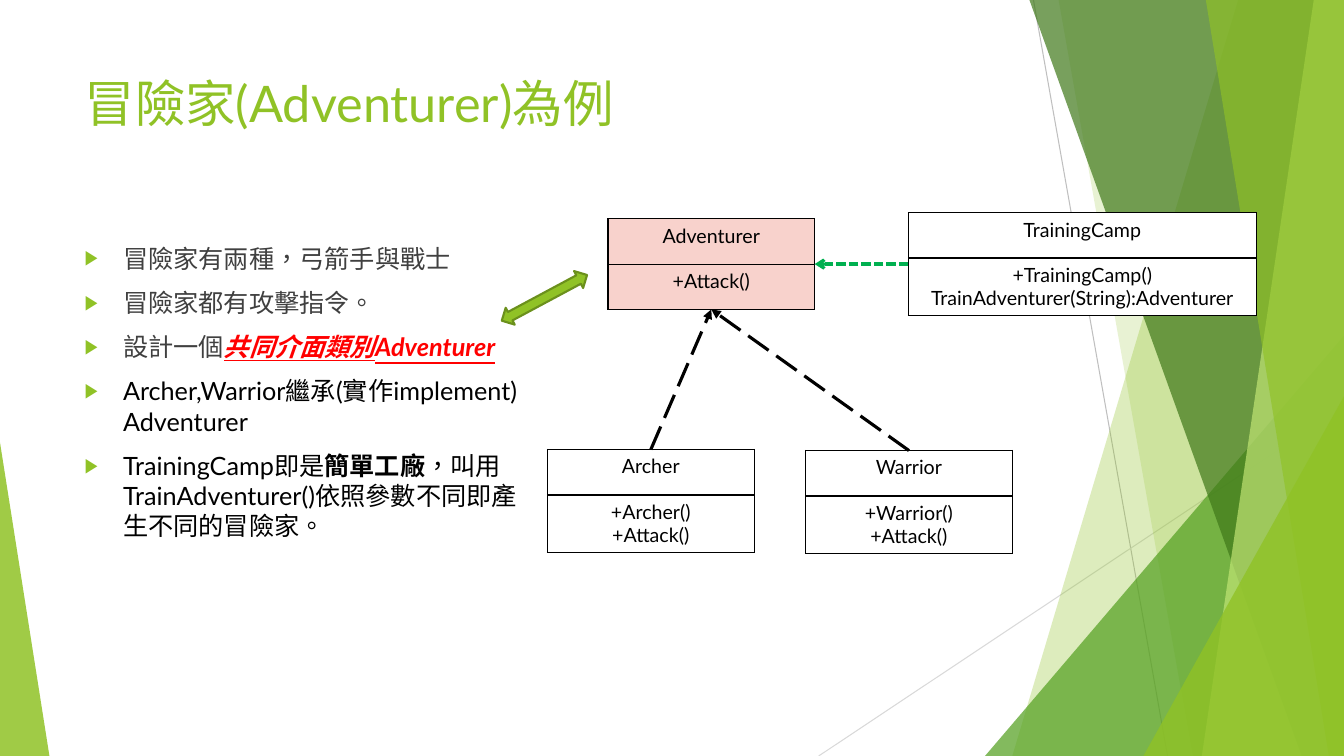
from collections import namedtuple
from dataclasses import dataclass

from lxml.etree import SubElement
from pptx import Presentation
from pptx.dml.color import RGBColor
from pptx.enum.dml import MSO_LINE
from pptx.enum.lang import MSO_LANGUAGE_ID
from pptx.enum.shapes import MSO_CONNECTOR, MSO_SHAPE
from pptx.enum.text import MSO_ANCHOR, MSO_AUTO_SIZE, PP_ALIGN
from pptx.oxml import parse_xml
from pptx.oxml.ns import nsdecls, qn
from pptx.util import Inches, Pt


@dataclass(frozen=True)
class Theme:
    font: str = "Lato"
    green: str = "90C226"
    mid_green: str = "54A021"
    dark_green: str = "3F7819"
    pale_green: str = "C0E474"
    outline_green: str = "6B901C"
    arrow_green: str = "00B050"
    grey_line: str = "BFBFBF"
    light_line: str = "D9D9D9"
    body: str = "404040"
    black: str = "000000"
    white: str = "FFFFFF"
    red: str = "FF0000"
    pink: str = "F8D2CC"
    title_size: int = 36
    body_size: int = 18
    class_size: int = 14


THEME = Theme()
Box = namedtuple("Box", "left top width height")
TOP, LEFT, BOTTOM, RIGHT = range(4)


def rgb(color):
    return RGBColor.from_string(color)


def apply_formats(target, formats):
    for name, value in formats.items():
        setattr(target, name, value)


def add_run(paragraph, text, size, color, **formats):
    run = paragraph.add_run()
    run.text = text
    apply_formats(run.font, {
        "name": THEME.font, "size": Pt(size),
        "language_id": MSO_LANGUAGE_ID.TRADITIONAL_CHINESE, **formats})
    run.font.color.rgb = rgb(color)


def fill_shape(shape, color, opacity=100):
    shape.shadow.inherit = False
    shape.fill.solid()
    shape.fill.fore_color.rgb = rgb(color)
    if opacity < 100:
        srgb = shape.fill._xPr.find(".//" + qn("a:srgbClr"))
        SubElement(srgb, qn("a:alpha"), val=str(opacity * 1000))


def add_line(shapes, start, end, color, width, dash=None, head=None):
    line = shapes.add_connector(
        MSO_CONNECTOR.STRAIGHT, *(Inches(v) for v in (*start, *end)))
    line.line.color.rgb = rgb(color)
    line.line.width = Pt(width)
    if dash:
        line.line.dash_style = dash
    if head:
        SubElement(line.line._get_or_add_ln(), qn("a:tailEnd"), type=head)
    SubElement(line.element.spPr, qn("a:effectLst"))
    return line


# Facet decoration along the slide edges
def add_decoration(slide, box):
    facets = slide.shapes.add_group_shape().shapes
    right, bottom = box.left + box.width, box.top + box.height

    def panel(top_x, bottom_x, color, opacity):
        corners = [(top_x, box.top), (right, box.top), (right, bottom), (bottom_x, bottom)]
        points = [(Inches(x), Inches(y)) for x, y in corners]
        builder = facets.build_freeform(*points[0])
        builder.add_line_segments(points[1:], close=True)
        facet = builder.convert_to_shape()
        fill_shape(facet, color, opacity)
        facet.line.fill.background()

    def corner(left, width, height, apex, color, opacity):
        facet = facets.add_shape(
            MSO_SHAPE.ISOSCELES_TRIANGLE, Inches(left), Inches(bottom - height),
            Inches(width), Inches(height))
        facet.adjustments[0] = apex
        fill_shape(facet, color, opacity)
        facet.line.fill.background()

    add_line(facets, (10.25, box.top), (11.58, bottom), THEME.grey_line, 0.75)
    add_line(facets, (right, 4.03), (8.12, bottom), THEME.light_line, 0.75)
    panel(12.28, 10.04, THEME.green, 30)
    panel(10.5, 11.83, THEME.green, 20)
    corner(right - 3.56, 3.56, 4.17, 1.0, THEME.mid_green, 72)
    panel(10.21, 12.91, THEME.dark_green, 70)
    panel(13.03, 11.92, THEME.pale_green, 70)
    panel(11.96, 13.18, THEME.green, 65)
    corner(right - 1.99, 1.99, 3.57, 1.0, THEME.green, 80)
    corner(box.left, 0.49, 3.11, 0.0, THEME.green, 85)


def place_placeholder(slide, placeholder, box):
    slide.shapes.element.append(placeholder.element)  # in front of the facets
    apply_formats(placeholder, {k: Inches(v) for k, v in box._asdict().items()})
    frame = placeholder.text_frame
    apply_formats(frame, {"word_wrap": True, "auto_size": MSO_AUTO_SIZE.NONE,
                          "vertical_anchor": MSO_ANCHOR.TOP})
    return frame


def add_title(slide, box):
    heading = place_placeholder(slide, slide.shapes.title, box).paragraphs[0]
    heading.alignment = PP_ALIGN.LEFT
    add_run(heading, "冒險家(Adventurer)為例", THEME.title_size, THEME.green)


# Bulleted explanation
def add_explanation(slide, box):
    emphasis = {"bold": True, "italic": True, "underline": True}
    points = [
        [("冒險家有兩種，弓箭手與戰士", THEME.body, {})],
        [("冒險家都有攻擊指令。", THEME.body, {})],
        [("設計一個", THEME.body, {}), ("共同介面類別Adventurer", THEME.red, emphasis)],
        [("Archer,Warrior繼承(實作implement) Adventurer", THEME.black, {})],
        [("TrainingCamp即是", THEME.black, {}),
         ("簡單工廠", THEME.black, {"bold": True}),
         ("，叫用TrainAdventurer()依照參數不同即產生不同的冒險家。", THEME.black, {})],
    ]
    frame = place_placeholder(slide, slide.placeholders[1], box)
    for index, runs in enumerate(points):
        point = frame.add_paragraph() if index else frame.paragraphs[0]
        properties = point._p.get_or_add_pPr()
        properties.set("marL", str(Inches(0.38)))
        properties.set("indent", str(-Inches(0.38)))
        bullet_color = SubElement(properties, qn("a:buClr"))
        SubElement(bullet_color, qn("a:srgbClr"), val=THEME.green)
        SubElement(properties, qn("a:buSzPct"), val="80000")
        SubElement(properties, qn("a:buChar"), char="▶")
        point.space_before = Pt(10 if index else 0)
        for text, color, formats in runs:
            add_run(point, text, THEME.body_size, color, **formats)


# One class: name row above its methods
def add_class(slide, left, top, width, name, methods, fill=THEME.white):
    heights = [0.45, 0.45 if len(methods) == 1 else 0.57]
    frame = slide.shapes.add_table(
        2, 1, Inches(left), Inches(top), Inches(width), Inches(sum(heights)))
    table = frame.table
    for row, height, lines in zip(table.rows, heights, ([name], methods)):
        row.height = Inches(height)
        cell = row.cells[0]
        for index, text in enumerate(lines):
            line = cell.text_frame.add_paragraph() if index else cell.text_frame.paragraphs[0]
            line.alignment = PP_ALIGN.CENTER
            add_run(line, text, THEME.class_size, THEME.black, bold=False)
        cell.fill.solid()
        cell.fill.fore_color.rgb = rgb(fill)
        for position, side in enumerate("LRTB"):
            cell._tc.get_or_add_tcPr().insert(position, parse_xml(
                f'<a:ln{side} w="12700" {nsdecls("a")}><a:solidFill>'
                f'<a:srgbClr val="{THEME.black}"/></a:solidFill></a:ln{side}>'))
    return frame


def add_relation(slide, source, source_side, target, target_side, color, dash, head):
    relation = add_line(slide.shapes, (0, 0), (1, 1), color, 2.25, dash, head)
    relation.begin_connect(source, source_side)
    relation.end_connect(target, target_side)


# Class diagram
def add_class_diagram(slide, box):
    x, y = box.left, box.top
    adventurer = add_class(slide, x + 0.6, y + 0.06, 2.05, "Adventurer", ["+Attack()"], THEME.pink)
    camp = add_class(slide, x + 3.58, y, box.width - 3.58, "TrainingCamp",
                     ["+TrainingCamp()", "TrainAdventurer(String):Adventurer"])
    archer = add_class(slide, x, y + 2.35, 2.05, "Archer", ["+Archer()", "+Attack()"])
    warrior = add_class(slide, x + 2.56, y + 2.36, 2.05, "Warrior", ["+Warrior()", "+Attack()"])
    for fighter in (archer, warrior):
        add_relation(slide, fighter, TOP, adventurer, BOTTOM,
                     THEME.black, MSO_LINE.LONG_DASH, "triangle")
    add_relation(slide, camp, LEFT, adventurer, RIGHT,
                 THEME.arrow_green, MSO_LINE.SQUARE_DOT, "arrow")


# Link between the shared interface and its class
def add_interface_arrow(slide, box):
    arrow = slide.shapes.add_shape(MSO_SHAPE.LEFT_RIGHT_ARROW, *(Inches(v) for v in box))
    arrow.rotation = 331.8
    fill_shape(arrow, THEME.green)
    arrow.line.color.rgb = rgb(THEME.outline_green)
    arrow.line.width = Pt(1.5)


def main():
    deck = Presentation()
    deck.slide_width, deck.slide_height = Inches(13.33), Inches(7.5)
    slide = deck.slides.add_slide(deck.slide_layouts[1])
    add_decoration(slide, Box(0, 0, 13.33, 7.5))
    add_title(slide, Box(0.74, 0.67, 9.4, 1.44))
    add_explanation(slide, Box(0.74, 2.36, 4.69, 4.24))
    add_class_diagram(slide, Box(5.43, 2.11, 7.03, 3.38))
    add_interface_arrow(slide, Box(4.92, 2.86, 0.96, 0.19))
    deck.save("out.pptx")


if __name__ == "__main__":
    main()
